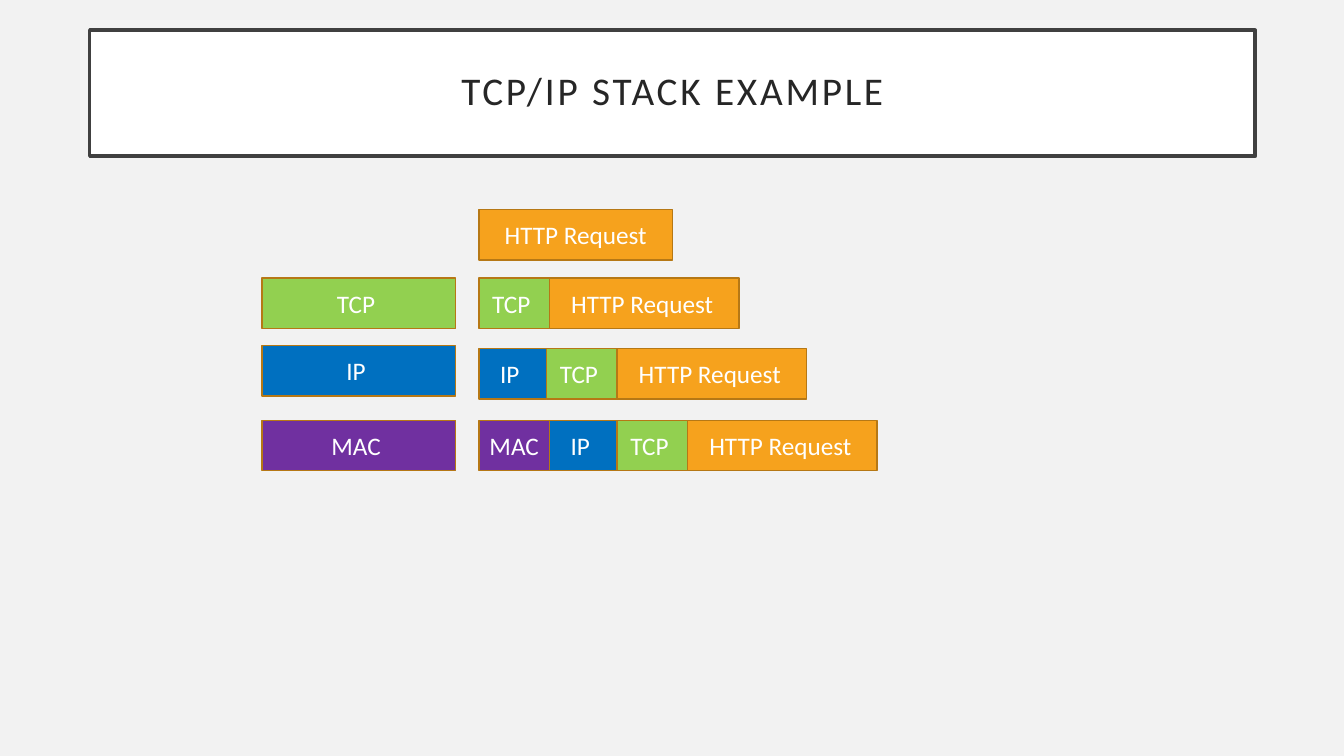
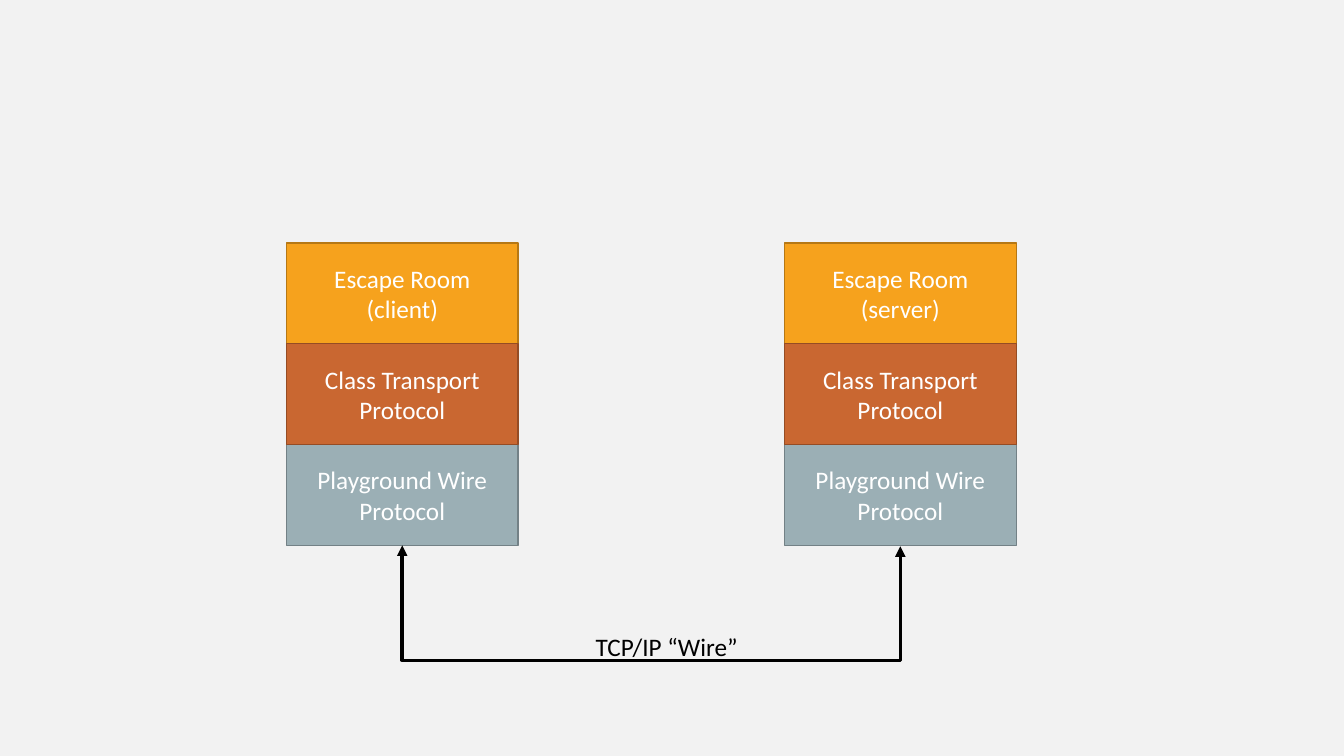
from lxml.etree import SubElement
from pptx import Presentation
from pptx.dml.color import RGBColor
from pptx.enum.shapes import MSO_CONNECTOR, MSO_SHAPE
from pptx.enum.text import MSO_ANCHOR, MSO_AUTO_SIZE, PP_ALIGN
from pptx.oxml.ns import qn
from pptx.util import Inches, Pt

COLORS = {
    "background": "F2F2F2",
    "white": "FFFFFF",
    "black": "000000",
    "title_text": "262626",
    "title_border": "404040",
    "orange": "F6A21D",
    "orange_edge": "B67815",
    "green": "92D050",
    "blue": "0070C0",
    "purple": "7030A0",
    "rust": "C96731",
    "rust_edge": "954C24",
    "slate": "9BAFB5",
    "slate_edge": "738186",
}
FONT = "Calibri"


def rgb(name):
    return RGBColor.from_string(COLORS[name])


class Deck:
    def __init__(self):
        self.prs = Presentation()
        self.prs.slide_width = Inches(13.33)
        self.prs.slide_height = Inches(7.5)
        self.s = None

    def slide(self):
        self.s = self.prs.slides.add_slide(self.prs.slide_layouts[6])
        fill = self.s.background.fill
        fill.solid()
        fill.fore_color.rgb = rgb("background")

    def set_text(self, sp, text, color, size=18, align=PP_ALIGN.CENTER):
        tf = sp.text_frame
        tf.text = text
        for p in tf.paragraphs:
            p.alignment = align
            for r in p.runs:
                r.font.name = FONT
                r.font.size = Pt(size)
                r.font.color.rgb = rgb(color)
        return tf

    def box(self, x, y, w, h, text, fill, edge="orange_edge", weight=1,
            color="white", size=18):
        sp = self.s.shapes.add_shape(
            MSO_SHAPE.RECTANGLE, Inches(x), Inches(y), Inches(w), Inches(h))
        sp.shadow.inherit = False
        sp.fill.solid()
        sp.fill.fore_color.rgb = rgb(fill)
        sp.line.color.rgb = rgb(edge)
        sp.line.width = Pt(weight)
        tf = self.set_text(sp, text, color, size)
        tf.word_wrap = True
        tf.vertical_anchor = MSO_ANCHOR.MIDDLE
        return sp

    def title(self, text):
        sp = self.box(0.89, 0.3, 11.56, 1.25, text, "white", "title_border",
                      2.5, "title_text", 28)
        tf = sp.text_frame
        tf.margin_left = tf.margin_right = Inches(0.2)
        tf.margin_top = tf.margin_bottom = Inches(0.2)
        p = tf.paragraphs[0]
        p.line_spacing = 0.9
        p.runs[0].font._element.set("spc", "200")

    def label(self, x, y, w, h, text):
        sp = self.s.shapes.add_textbox(
            Inches(x), Inches(y), Inches(w), Inches(h))
        tf = self.set_text(sp, text, "black", align=PP_ALIGN.LEFT)
        tf.word_wrap = False
        tf.auto_size = MSO_AUTO_SIZE.SHAPE_TO_FIT_TEXT

    def wire(self, left, right, y, drop):
        rise = 0.01
        span = right - left
        cx, cy = (left + right) / 2, y + rise / 2
        line = self.s.shapes.add_connector(
            MSO_CONNECTOR.ELBOW,
            Inches(cx - rise / 2), Inches(cy - span / 2),
            Inches(cx + rise / 2), Inches(cy + span / 2))
        line.line.color.rgb = rgb("black")
        line.line.width = Pt(2.5)
        sp_pr = line._element.spPr
        xfrm = sp_pr.find(qn("a:xfrm"))
        xfrm.set("rot", "16200000")
        xfrm.set("flipH", "1")
        guides = sp_pr.find(qn("a:prstGeom")).find(qn("a:avLst"))
        SubElement(guides, qn("a:gd"), name="adj1",
                   fmla=f"val {round(drop / rise * 100000)}")
        ln = sp_pr.find(qn("a:ln"))
        for end in ("a:headEnd", "a:tailEnd"):
            SubElement(ln, qn(end), type="triangle")
        SubElement(sp_pr, qn("a:effectLst"))


def stack_example(deck):
    deck.slide()
    deck.title("TCP/IP STACK EXAMPLE")
    box_w, box_h, packet_x, overlap = 1.92, 0.5, 4.75, 0.04
    headers = {"TCP ": ("green", 0.7), "IP ": ("blue", 0.67),
               "MAC ": ("purple", 0.7)}

    for (name, (fill, _)), y in zip(headers.items(), (2.76, 3.43, 4.17)):
        deck.box(2.6, y, box_w, box_h, name, fill)

    for count, y in enumerate((2.08, 2.76, 3.46, 4.17)):
        stack = list(headers.items())[:count]
        x = packet_x + sum(w for _, (_, w) in stack)
        payload_x = x - overlap if stack else x
        deck.box(payload_x, y, box_w, box_h, "HTTP Request", "orange")
        for name, (fill, w) in stack:
            x -= w
            deck.box(x, y, w, box_h, name, fill)


def playground_stack(deck):
    deck.slide()
    box_w, box_h, top = 2.3, 1, 2.41
    columns = {"client": 2.84, "server": 7.78}
    for role, x in columns.items():
        layers = (
            (0, f"Escape Room\n({role})", "orange"),
            (2, "Playground Wire Protocol", "slate"),
            (1, "Class Transport Protocol", "rust"),
        )
        for row, text, fill in layers:
            deck.box(x, top + row * box_h, box_w, box_h, text, fill,
                     f"{fill}_edge")

    left, right = (x + box_w / 2 for x in columns.values())
    deck.wire(left, right, top + 3 * box_h, 1.16)
    deck.label(5.81, 6.21, 1.72, 0.4, "TCP/IP “Wire”")


def main():
    deck = Deck()
    stack_example(deck)
    playground_stack(deck)
    deck.prs.save("out.pptx")


if __name__ == "__main__":
    main()
